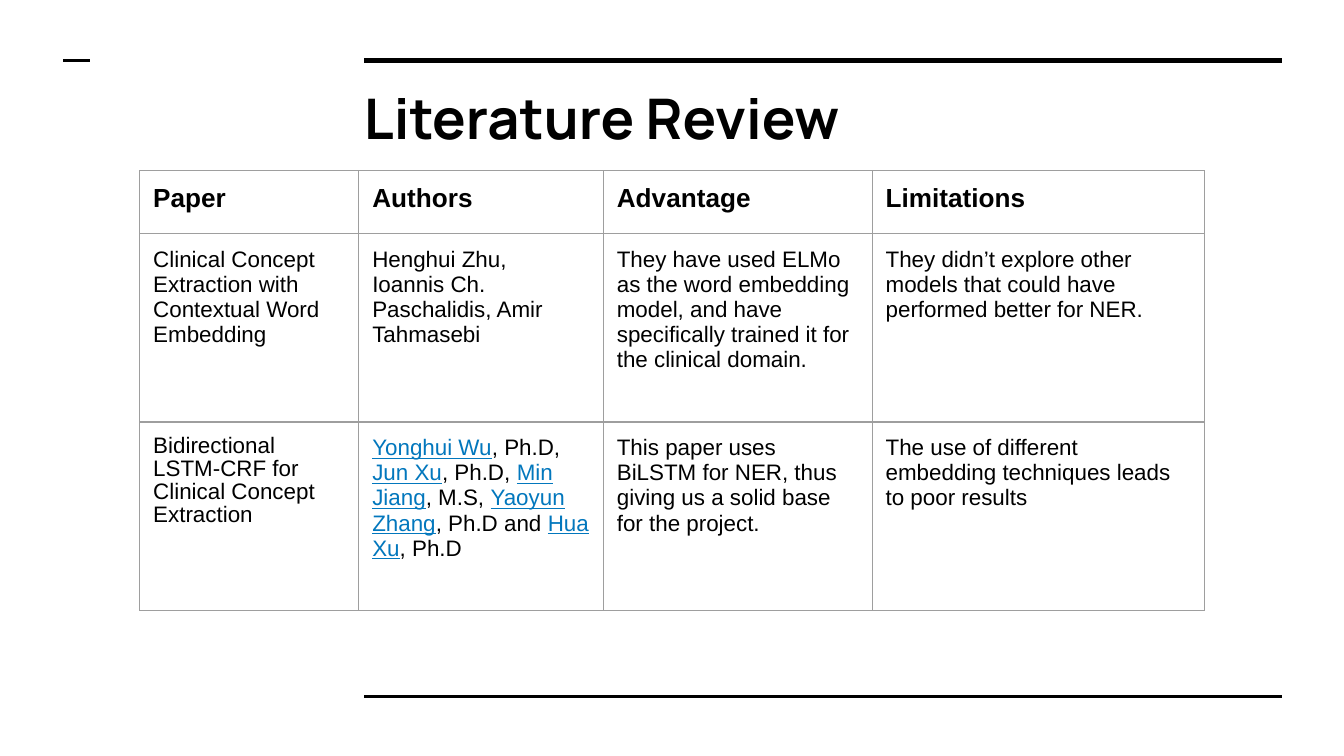
from dataclasses import dataclass

from lxml import etree
from pptx import Presentation
from pptx.dml.color import RGBColor
from pptx.enum.shapes import MSO_CONNECTOR
from pptx.enum.text import MSO_ANCHOR
from pptx.oxml.ns import qn
from pptx.util import Inches, Pt

STRAIGHT = MSO_CONNECTOR.STRAIGHT
TOP = MSO_ANCHOR.TOP

COLORS = {"ink": "000000", "link": "0277BD", "border": "9E9E9E"}
SLIDE_WIDTH = 10
SLIDE_HEIGHT = SLIDE_WIDTH * 9 / 16
COLUMN_WIDTHS = [1.63, 1.82, 2, 2.47]
ROW_HEIGHTS = [0.47, 1.4, 1.4]
PADDING = 0.1


@dataclass
class Rule:
    left: float
    right: float
    y: float
    weight: float


@dataclass
class Span:
    text: str
    linked: bool = False


@dataclass
class Entry:
    paragraphs: list[list[Span]]
    size: float = 12
    bold: bool = False
    line_spacing: float | None = None
    space_before: float | None = None


def plain(*lines: str, **style) -> Entry:
    return Entry([[Span(line)] for line in lines], **style)


def credits(*authors: tuple[str, str]) -> Entry:
    return Entry([[span for name, degree in authors
                   for span in (Span(name, True), Span(degree))]])


RULES = [
    Rule(2.71, 9.54, 0.45, 3),
    Rule(2.71, 9.54, 5.18, 1.5),
    Rule(0.47, 0.67, 0.45, 1.5),
]

HEADINGS = ["Paper", "Authors", "Advantage", "Limitations"]
REVIEW = [
    [plain(heading, size=14, bold=True) for heading in HEADINGS],
    [
        plain("Clinical Concept Extraction with Contextual Word Embedding"),
        plain("Henghui Zhu,", "Ioannis Ch. Paschalidis, Amir Tahmasebi"),
        plain("They have used ELMo as the word embedding model, and have "
              "specifically trained it for the clinical domain."),
        plain("They didn’t explore other models that could have performed "
              "better for NER."),
    ],
    [
        plain("Bidirectional LSTM-CRF for Clinical Concept Extraction",
              line_spacing=0.91, space_before=6),
        credits(("Yonghui Wu", ", Ph.D, "), ("Jun Xu", ", Ph.D, "),
                ("Min Jiang", ", M.S, "), ("Yaoyun Zhang", ", Ph.D and "),
                ("Hua Xu", ", Ph.D")),
        plain("This paper uses BiLSTM for NER, thus giving us a solid base "
              "for the project."),
        plain("The use of different embedding techniques leads to poor results"),
    ],
]


def color(name: str) -> RGBColor:
    return RGBColor.from_string(COLORS[name])


def draw_rule(slide, rule: Rule) -> None:
    line = slide.shapes.add_connector(
        STRAIGHT, Inches(rule.left), Inches(rule.y),
        Inches(rule.right), Inches(rule.y))
    line.line.color.rgb = color("ink")
    line.line.width = Pt(rule.weight)
    etree.SubElement(line._element.spPr, qn("a:effectLst"))


def set_margins(holder) -> None:
    holder.margin_left = holder.margin_right = Inches(PADDING)
    holder.margin_top = holder.margin_bottom = Inches(PADDING)


def draw_title(slide, text: str) -> None:
    frame = slide.shapes.add_textbox(
        Inches(2.61), Inches(0.52), Inches(6.91), Inches(0.69)).text_frame
    frame.word_wrap = True
    frame.vertical_anchor = TOP
    set_margins(frame)
    title = frame.paragraphs[0]
    title.text = text
    title.font.name = "Manrope"
    title.font.size = Pt(30)
    title.font.bold = True
    title.font.color.rgb = color("ink")


def set_borders(cell) -> None:
    properties = cell._tc.get_or_add_tcPr()
    for side in ("L", "R", "T", "B"):
        edge = etree.SubElement(properties, qn(f"a:ln{side}"), w=str(Pt(0.75)))
        fill = etree.SubElement(edge, qn("a:solidFill"))
        etree.SubElement(fill, qn("a:srgbClr"), val=COLORS["border"])


def fill_cell(cell, entry: Entry) -> None:
    set_margins(cell)
    cell.vertical_anchor = TOP
    set_borders(cell)
    cell.fill.background()
    frame = cell.text_frame
    for index, spans in enumerate(entry.paragraphs):
        paragraph = frame.add_paragraph() if index else frame.paragraphs[0]
        paragraph.font.name = "Arial"
        paragraph.font.size = Pt(entry.size)
        paragraph.font.bold = entry.bold
        paragraph.font.color.rgb = color("ink")
        if entry.line_spacing is not None:
            paragraph.line_spacing = entry.line_spacing
        if entry.space_before is not None:
            paragraph.space_before = Pt(entry.space_before)
        for span in spans:
            run = paragraph.add_run()
            run.text = span.text
            if span.linked:
                run.font.color.rgb = color("link")
                run.font.underline = True


def draw_review(slide, rows: list[list[Entry]]) -> None:
    table = slide.shapes.add_table(
        len(ROW_HEIGHTS), len(COLUMN_WIDTHS), Inches(1.04), Inches(1.27),
        Inches(sum(COLUMN_WIDTHS)), Inches(sum(ROW_HEIGHTS))).table
    table.first_row = False
    table.horz_banding = False
    for column, width in zip(table.columns, COLUMN_WIDTHS):
        column.width = Inches(width)
    for row, height, entries in zip(table.rows, ROW_HEIGHTS, rows):
        row.height = Inches(height)
        for cell, entry in zip(row.cells, entries):
            fill_cell(cell, entry)


def main() -> None:
    deck = Presentation()
    deck.slide_width = Inches(SLIDE_WIDTH)
    deck.slide_height = Inches(SLIDE_HEIGHT)
    slide = deck.slides.add_slide(deck.slide_layouts[6])
    for rule in RULES:
        draw_rule(slide, rule)
    draw_title(slide, "Literature Review")
    draw_review(slide, REVIEW)
    deck.save("out.pptx")


if __name__ == "__main__":
    main()
